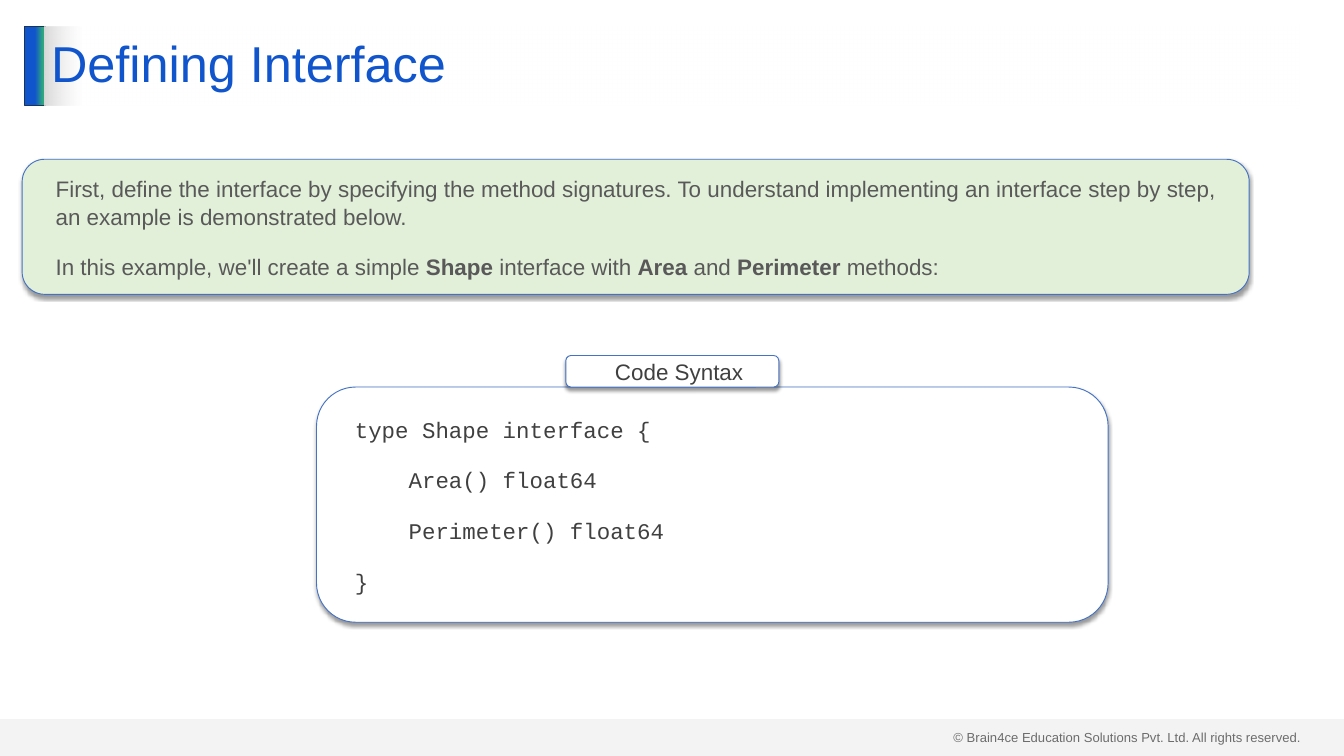
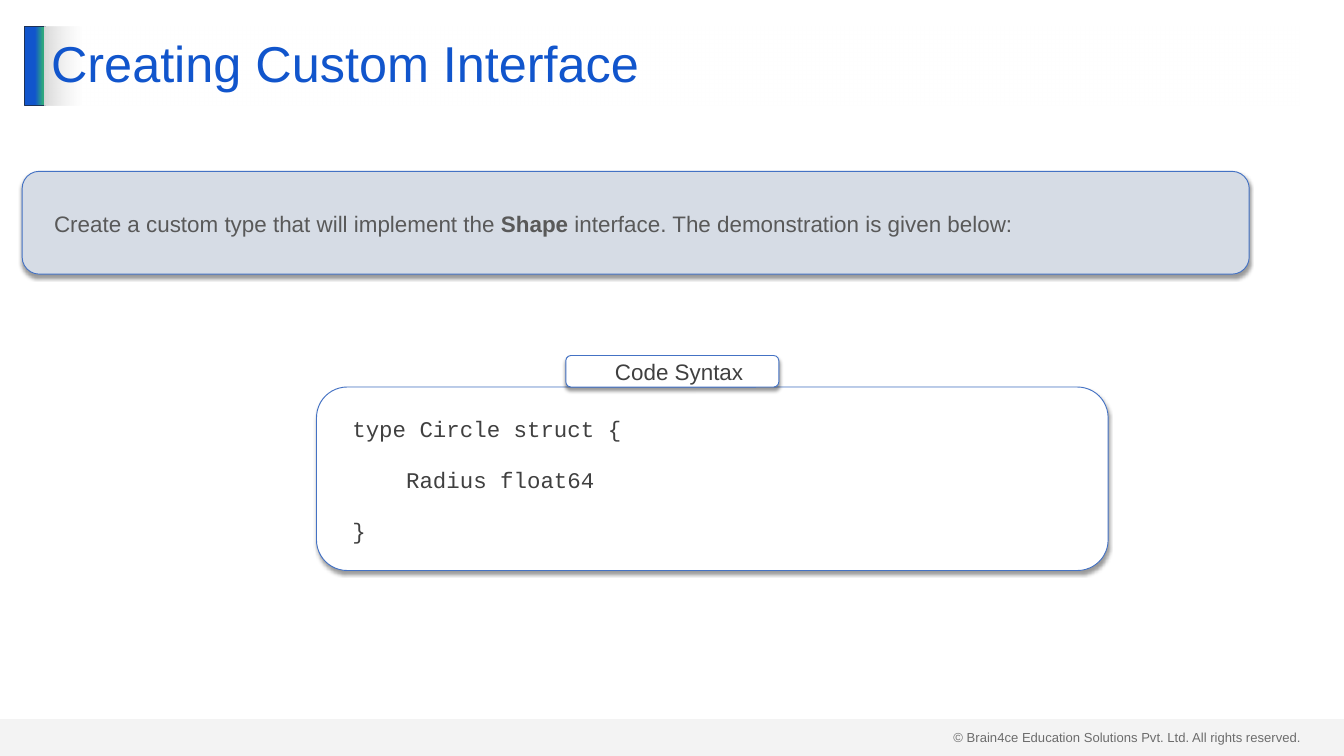
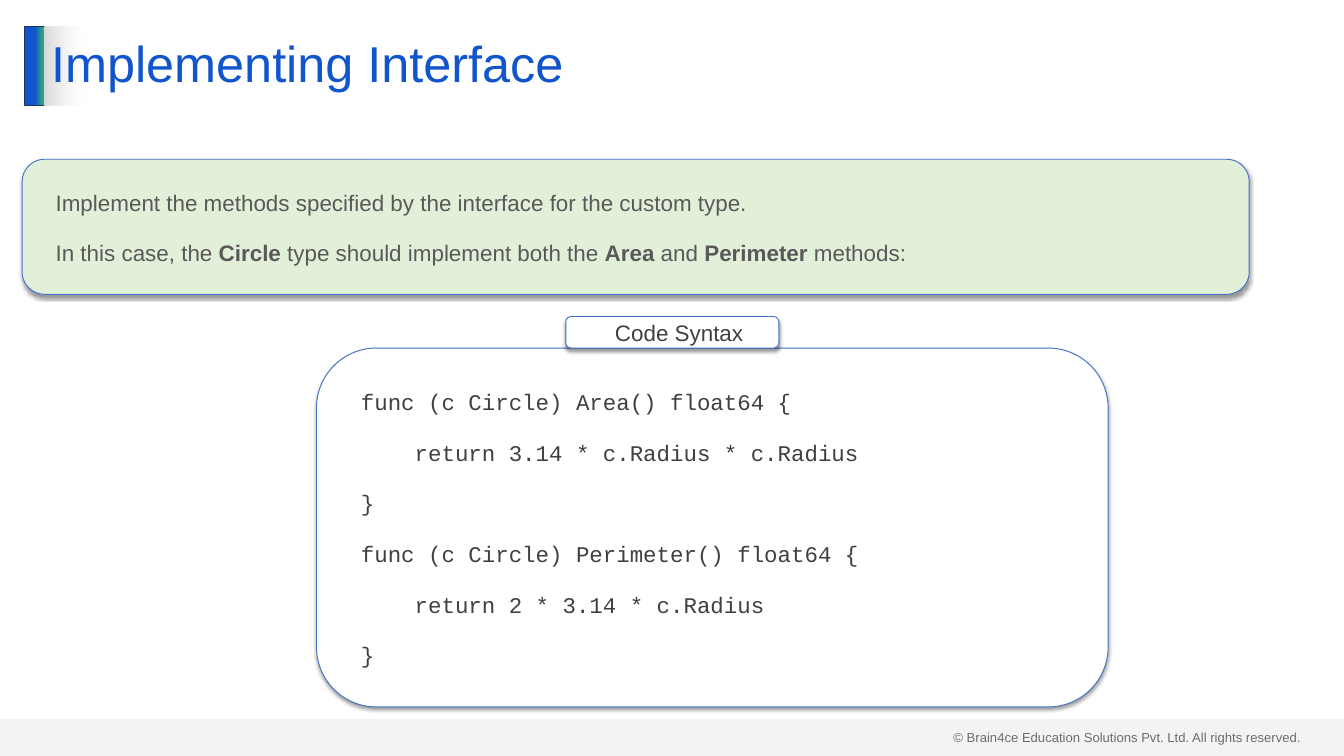
"""Build three slides on defining, creating and implementing an interface."""
from pptx import Presentation
from pptx.dml.color import RGBColor
from pptx.enum.shapes import MSO_SHAPE as Shape
from pptx.enum.text import MSO_ANCHOR as Anchor, PP_ALIGN as Align
from pptx.oxml import parse_xml
from pptx.oxml.ns import nsdecls, qn
from pptx.util import Inches, Pt

BLUE = RGBColor(0x11, 0x55, 0xCC)
TEAL = RGBColor(0x2E, 0xA8, 0x7D)
NAVY = RGBColor(0x1E, 0x32, 0x56)
OUTLINE = RGBColor(0x44, 0x72, 0xC4)
WHITE = RGBColor(0xFF, 0xFF, 0xFF)
SILVER = RGBColor(0xD9, 0xD9, 0xD9)
GREEN = RGBColor(0xE2, 0xF0, 0xD9)
SLATE = RGBColor(0xD6, 0xDC, 0xE5)
DARK = RGBColor(0x40, 0x40, 0x40)
GREY = RGBColor(0x59, 0x59, 0x59)

INTRO_FONT = {"name": "Arial", "size": Pt(24), "color": GREY}
LABEL_FONT = {"name": "Arial", "size": Pt(24), "color": DARK}
CODE_FONT = {"name": "Courier New", "size": Pt(24), "color": DARK}
TITLE_FONT = {"name": "Arial", "size": Pt(54), "color": BLUE}
FOOTER_FONT = {"name": "Arial", "size": Pt(14), "color": DARK}

SHADOW = (
    f'<a:outerShdw {nsdecls("a")} blurRad="50800" dist="38100" dir="5400000" '
    'algn="t" rotWithShape="0"><a:srgbClr val="000000"><a:alpha val="40000"/>'
    '</a:srgbClr></a:outerShdw>'
)

SLIDES = [
    {
        "title": "Defining Interface",
        "intro": [
            "First, define the interface by specifying the method signatures. "
            "To understand implementing an interface step by step, an example "
            "is demonstrated below.",
            "In this example, we'll create a simple **Shape** interface with "
            "**Area** and **Perimeter **methods:",
        ],
        "intro_fill": GREEN, "intro_top": 2.37, "intro_height": 2.01,
        "code": [
            "type Shape interface {",
            "    Area() float64",
            "    Perimeter() float64",
            "}",
        ],
        "code_top": 5.76, "code_height": 3.5,
    },
    {
        "title": "Creating Custom Interface",
        "intro": [
            "Create a custom type that will implement the **Shape **interface. "
            "The demonstration is given below:",
        ],
        "intro_fill": SLATE, "intro_top": 2.55, "intro_height": 1.53,
        "code": ["type Circle struct {", "    Radius float64", "}"],
        "code_top": 5.76, "code_height": 2.73,
    },
    {
        "title": "Implementing Interface",
        "intro": [
            "Implement the methods specified by the interface for the custom type.",
            "In this case, the **Circle** type should implement both the "
            "**Area** and **Perimeter** methods:",
        ],
        "intro_fill": GREEN, "intro_top": 2.37, "intro_height": 2.01,
        "code": [
            "func (c Circle) Area() float64 {",
            "    return 3.14 * c.Radius * c.Radius",
            "}",
            "func (c Circle) Perimeter() float64 {",
            "    return 2 * 3.14 * c.Radius",
            "}",
        ],
        "code_top": 5.18, "code_height": 5.34,
    },
]


def set_gradient(shape, stops):
    """Fill a shape from left to right with (percent, colour, opacity) stops."""
    shape.fill.gradient()
    shape.fill.gradient_angle = 0
    stop_list = shape.element.find(".//" + qn("a:gsLst"))
    for stop in list(stop_list):
        stop_list.remove(stop)
    for percent, color, opacity in stops:
        stop_list.append(parse_xml(
            f'<a:gs {nsdecls("a")} pos="{percent * 1000}"><a:srgbClr val="{color}">'
            f'<a:alpha val="{opacity * 1000}"/></a:srgbClr></a:gs>'))


def add_card(page, left, top, width, height, fill, lines, font, align=Align.LEFT):
    """Add a shadowed rounded card; text between double asterisks is bold."""
    card = page.shapes.add_shape(
        Shape.ROUNDED_RECTANGLE, Inches(left), Inches(top), Inches(width), Inches(height))
    card.fill.solid()
    card.fill.fore_color.rgb = fill
    card.line.color.rgb = OUTLINE
    card.line.width = Pt(1)
    card.shadow.inherit = False
    card.element.spPr.find(qn("a:effectLst")).append(parse_xml(SHADOW))
    frame = card.text_frame
    frame.word_wrap = True
    frame.vertical_anchor = Anchor.MIDDLE
    frame.margin_left = frame.margin_right = Inches(0.2)
    frame.margin_top = frame.margin_bottom = Inches(0.1)
    for index, line in enumerate(lines):
        para = frame.paragraphs[0] if index == 0 else frame.add_paragraph()
        para.alignment = align
        para.line_spacing = 1.05
        para.space_before = Pt(24 if index else 0)
        para._p.get_or_add_pPr().set("marL", str(Inches(0.2)))
        for part, text in enumerate(line.split("**")):
            span = para.add_run()
            span.text = text
            span.font.bold = part % 2 == 1
            span.font.color.rgb = font["color"]
            for key in ("name", "size"):
                setattr(span.font, key, font[key])


deck = Presentation()
deck.slide_width, deck.slide_height = Inches(20), Inches(11.25)
layout = deck.slide_layouts[5]
for placeholder in list(layout.placeholders)[1:]:
    layout.shapes.element.remove(placeholder.element)

pages = [deck.slides.add_slide(layout) for slide in SLIDES]

shapes = pages[0].shapes
footer = shapes.add_textbox(Inches(14.09), Inches(10.8), Inches(5.41), Inches(0.34))
span = footer.text_frame.paragraphs[0].add_run()
span.text = "© Brain4ce Education Solutions Pvt. Ltd. All rights reserved."
span.font.color.rgb = FOOTER_FONT["color"]
for key in ("name", "size"):
    setattr(span.font, key, FOOTER_FONT[key])

accent = shapes.add_shape(
    Shape.RECTANGLE, Inches(0.37), Inches(0.39), Inches(0.3), Inches(1.18))
set_gradient(accent, [(51, BLUE, 100), (90, TEAL, 100), (100, TEAL, 100)])
accent.line.color.rgb = NAVY
accent.line.width = Pt(1)

band = shapes.add_shape(
    Shape.RECTANGLE, 0, Inches(10.7), deck.slide_width, Inches(0.55))
band.fill.solid()
band.fill.fore_color.rgb = SILVER
band.element.spPr.find(".//" + qn("a:srgbClr")).append(
    parse_xml(f'<a:alpha {nsdecls("a")} val="29000"/>'))
band.line.fill.background()

for shape in (footer, accent, band):
    if shape is not footer:
        shape.shadow.inherit = False
    layout.shapes.element.append(shape.element)

for page, slide in zip(pages, SLIDES):
    title = page.shapes.title
    title.left, title.top = Inches(0.66), Inches(0.39)
    title.width, title.height = Inches(18.67), Inches(1.18)
    set_gradient(title, [(0, SILVER, 100), (3, WHITE, 50)])
    title.text_frame.text = slide["title"]
    title.text_frame.vertical_anchor = Anchor.MIDDLE
    para = title.text_frame.paragraphs[0]
    para.alignment = Align.LEFT
    para.line_spacing = 0.9
    para.font.color.rgb = TITLE_FONT["color"]
    for key in ("name", "size"):
        setattr(para.font, key, TITLE_FONT[key])

    add_card(page, 4.71, slide["code_top"], 11.78, slide["code_height"],
             WHITE, slide["code"], CODE_FONT)
    add_card(page, 8.42, slide["code_top"] - 0.47, 3.17, 0.47,
             WHITE, ["Code Syntax"], LABEL_FONT, Align.CENTER)
    add_card(page, 0.33, slide["intro_top"], 18.26, slide["intro_height"],
             slide["intro_fill"], slide["intro"], INTRO_FONT)

deck.save("out.pptx")
